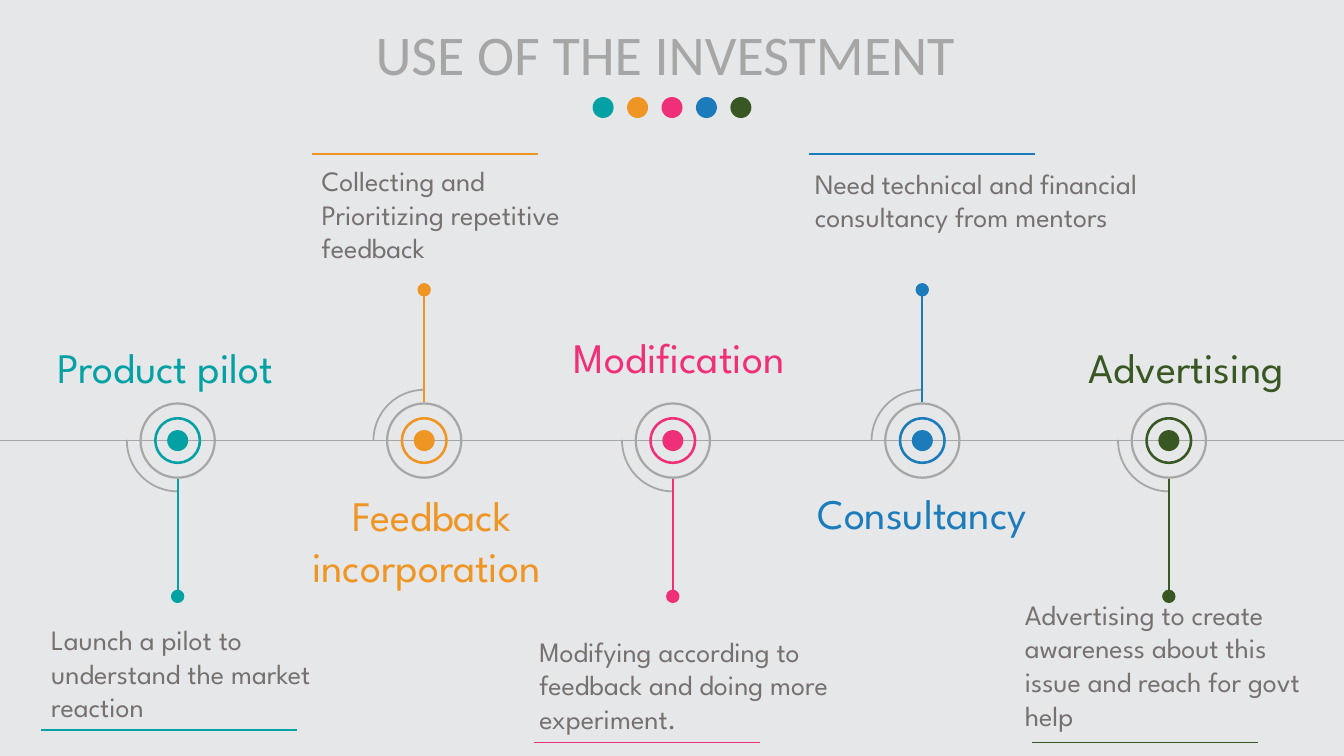
from lxml import etree
from pptx import Presentation
from pptx import util as u
from pptx.dml.color import RGBColor
from pptx.enum import shapes, text
from pptx.oxml import ns

TEAL = RGBColor(0x03, 0xA1, 0xA4)
ORANGE = RGBColor(0xEE, 0x95, 0x24)
PINK = RGBColor(0xEF, 0x30, 0x78)
BLUE = RGBColor(0x1C, 0x7C, 0xBB)
GREEN = RGBColor(0x38, 0x57, 0x23)
GREY = RGBColor(0xA6, 0xA6, 0xA6)
BODY = RGBColor(0x76, 0x71, 0x71)
PAPER = RGBColor(0xE6, 0xE7, 0xE9)

COLUMNS, ROWS = 16, 9
CELL = u.Inches(1)
AXIS = 5.245
RULE = 1.5
TITLE = ("USE OF THE INVESTMENT ", (3.22, 0.17, 9.55, 0.93))

STEPS = [
    dict(color=TEAL, center=2.115, up=False,
         heading="Product pilot ", heading_box=(-0.43, 4.01, 4.93, 0.73),
         detail="Launch a pilot to understand the market reaction",
         detail_box=(0.49, 7.35, 3.73, 1.33), rule=(0.49, 3.54, 8.69)),
    dict(color=ORANGE, center=5.05, up=True,
         heading="Feedback incorporation ", heading_box=(2.97, 5.77, 4.34, 1.33),
         detail="Collecting and Prioritizing repetitive feedback",
         detail_box=(3.71, 1.89, 3.53, 1.33), rule=(3.71, 6.4, 1.83)),
    dict(color=PINK, center=8.01, up=False,
         heading="Modification ", heading_box=(5.92, 3.89, 4.46, 0.73),
         detail="Modifying according to feedback and doing more experiment.",
         detail_box=(6.3, 7.49, 4.2, 1.33), rule=(6.36, 9.05, 8.84)),
    dict(color=BLUE, center=10.98, up=True,
         heading="Consultancy ", heading_box=(9.28, 5.74, 3.52, 0.73),
         detail="Need technical and financial consultancy from mentors",
         detail_box=(9.58, 1.92, 4.2, 1.33), rule=(9.63, 12.32, 1.83)),
    dict(color=GREEN, center=13.915, up=False,
         heading="Advertising ", heading_box=(12.52, 4.01, 3.33, 0.73),
         detail="Advertising to create awareness about this issue and reach for govt help",
         detail_box=(12.08, 7.05, 3.75, 1.74), rule=(12.29, 14.98, 8.84)),
]
AXIS_SEGMENTS = [(8.1, 11.06), (11.04, 14), (14, 16.02), (5.13, 8.09), (2.18, 5.13), (0, 2.02)]


def grid(*lengths):
    return [round(length * CELL) for length in lengths]


def add_line(slide, x1, y1, x2, y2, color):
    line = slide.shapes.add_connector(
        shapes.MSO_CONNECTOR.STRAIGHT, *grid(x1, y1, x2, y2))
    line.line.color.rgb = color
    line.line.width = u.Pt(RULE)
    etree.SubElement(line._element.spPr, ns.qn("a:effectLst"))


def add_round(holder, kind, x, y, size, color, adjust=()):
    mark = holder.shapes.add_shape(kind, *grid(x - size / 2, y - size / 2, size, size))
    mark.shadow.inherit = False
    for index, value in enumerate(adjust):
        mark.adjustments[index] = value
    if kind == shapes.MSO_SHAPE.ARC:
        mark.fill.background()
        mark.line.color.rgb = color
        mark.line.width = u.Pt(RULE)
    else:
        mark.fill.solid()
        mark.fill.fore_color.rgb = color
        mark.line.fill.background()
    return mark


def add_text(slide, wording, box, size, font, color, align=text.PP_ALIGN.LEFT):
    frame = slide.shapes.add_textbox(*grid(*box)).text_frame
    frame.word_wrap = True
    frame.auto_size = text.MSO_AUTO_SIZE.SHAPE_TO_FIT_TEXT
    frame.margin_left = frame.margin_right = u.Inches(0.12)
    frame.margin_top = frame.margin_bottom = u.Inches(0.06)
    paragraph = frame.paragraphs[0]
    paragraph.text = wording
    paragraph.alignment = align
    paragraph.font.size = u.Pt(size)
    paragraph.font.name = font
    paragraph.font.color.rgb = color


def add_step(slide, step):
    kinds = shapes.MSO_SHAPE
    color, x, up = step["color"], step["center"], step["up"]
    arc = add_round(slide, kinds.ARC, x, AXIS, 1.21, GREY, (54.204, 108.533))
    arc.rotation = 90 if up else 0
    add_round(slide, kinds.OVAL, x, AXIS, 0.25, color)
    add_round(slide, kinds.DONUT, x, AXIS, 0.56, color, (0.053,))
    add_round(slide, kinds.DONUT, x, AXIS, 0.91, GREY, (0.029,))
    stem_tip, stem_root, dot = (3.43, 4.79, 3.45) if up else (7.05, 5.7, 7.1)
    add_line(slide, x, stem_tip, x, stem_root, color)
    add_round(slide, kinds.OVAL, x, dot, 0.16, color)
    add_text(slide, step["heading"], step["heading_box"], 36, "League Spartan", color,
             text.PP_ALIGN.CENTER)
    add_text(slide, step["detail"], step["detail_box"], 24, "League Spartan", BODY)
    left, right, y = step["rule"]
    add_line(slide, left, y, right, y, color)


def main():
    deck = Presentation()
    deck.slide_width, deck.slide_height = grid(COLUMNS, ROWS)
    slide = deck.slides.add_slide(deck.slide_layouts[6])
    slide.background.fill.solid()
    slide.background.fill.fore_color.rgb = PAPER

    for start, end in AXIS_SEGMENTS:
        add_line(slide, start, AXIS, end, AXIS, GREY)
    for step in STEPS:
        add_step(slide, step)

    add_text(slide, *TITLE, 48, "Calibri", GREY, text.PP_ALIGN.CENTER)
    palette = slide.shapes.add_group_shape()
    for index, step in enumerate(STEPS):
        offset = index - (len(STEPS) - 1) / 2
        add_round(palette, shapes.MSO_SHAPE.OVAL, COLUMNS / 2 + 0.41 * offset, 1.28,
                  0.25, step["color"])
    deck.save("out.pptx")


if __name__ == "__main__":
    main()
